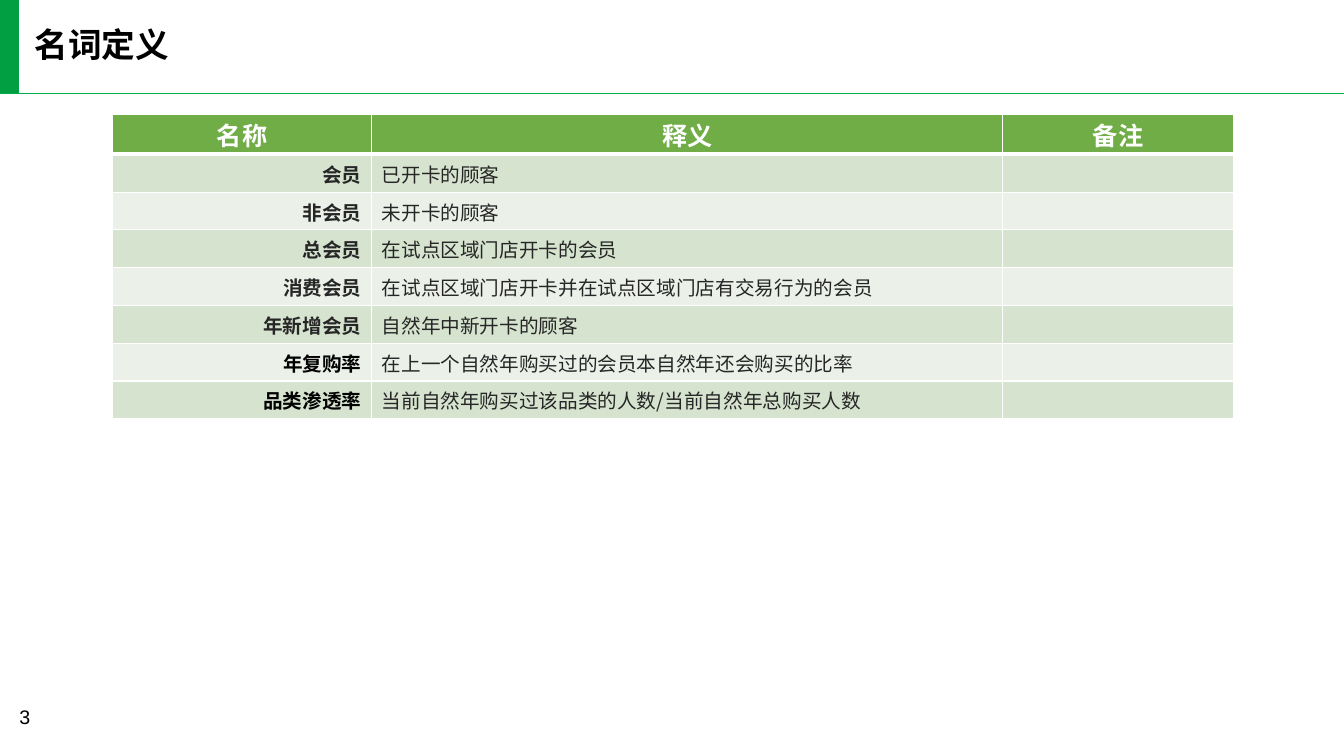
"""Build the glossary slide: a title band and a table of member terms."""
from dataclasses import dataclass

from lxml import etree
from pptx import Presentation
from pptx.dml.color import RGBColor
from pptx.enum.shapes import MSO_CONNECTOR, MSO_SHAPE
from pptx.enum.text import MSO_ANCHOR, PP_ALIGN
from pptx.oxml.ns import qn
from pptx.util import Pt

PX = 9525
LEFT, CENTER, RIGHT = PP_ALIGN.LEFT, PP_ALIGN.CENTER, PP_ALIGN.RIGHT
MIDDLE = MSO_ANCHOR.MIDDLE
RECT, STRAIGHT = MSO_SHAPE.RECTANGLE, MSO_CONNECTOR.STRAIGHT


@dataclass(frozen=True)
class Theme:
    accent: str = "029E42"
    rule: str = "00B050"
    header: str = "70AD47"
    bands: tuple = ("D5E3CF", "EBF1E9")
    white: str = "FFFFFF"
    black: str = "000000"
    body: str = "262626"
    cjk: str = "Noto Sans CJK SC"
    latin: str = "Arial"
    title_size: int = 24
    header_size: int = 18
    body_size: int = 14


theme = Theme()

HEADINGS = ("名称", "释义", "备注")
TERMS = (
    ("会员", "已开卡的顾客", theme.body),
    ("非会员", "未开卡的顾客", theme.body),
    ("总会员", "在试点区域门店开卡的会员", theme.body),
    ("消费会员", "在试点区域门店开卡并在试点区域门店有交易行为的会员", theme.body),
    ("年新增会员", "自然年中新开卡的顾客", theme.body),
    ("年复购率", "在上一个自然年购买过的会员本自然年还会购买的比率", theme.black),
    ("品类渗透率", "当前自然年购买过该品类的人数/当前自然年总购买人数", theme.black),
)
COLUMNS = (247, 601, 220)
HEADER_HEIGHT, ROW_HEIGHT = 38, 36


def write(tf, text, size=theme.body_size, color=theme.black, font=theme.cjk,
          bold=False, align=LEFT, spacing=None):
    tf.word_wrap = True
    p = tf.paragraphs[0]
    p.alignment = align
    p.line_spacing = spacing
    r = p.add_run()
    r.text = text
    r.font.size = Pt(size)
    r.font.bold = bold
    r.font.name = font
    r.font.color.rgb = RGBColor.from_string(color)
    etree.SubElement(r.font._element, qn("a:ea"), typeface=font)


def style_cell(cell, fill, bottom=1):
    cell.vertical_anchor = MIDDLE
    tcPr = cell._tc.get_or_add_tcPr()
    for side, width in (("L", 1), ("R", 1), ("T", 1), ("B", bottom)):
        ln = etree.SubElement(tcPr, qn(f"a:ln{side}"), w=str(Pt(width)))
        solid = etree.SubElement(ln, qn("a:solidFill"))
        etree.SubElement(solid, qn("a:srgbClr"), val=theme.white)
    cell.fill.solid()
    cell.fill.fore_color.rgb = RGBColor.from_string(fill)


prs = Presentation()
prs.slide_width, prs.slide_height = 1280 * PX, 720 * PX
s = prs.slides.add_slide(prs.slide_layouts[6])

rule = s.shapes.add_connector(STRAIGHT, 0, 89 * PX, 1280 * PX, 89 * PX)
rule.line.color.rgb = RGBColor.from_string(theme.rule)
rule.line.width = Pt(1)
etree.SubElement(rule._element.spPr, qn("a:effectLst"))

title = s.shapes.add_textbox(33 * PX, 27 * PX, 604 * PX, 35 * PX)
tf = title.text_frame
tf.margin_left = tf.margin_right = tf.margin_top = tf.margin_bottom = 0
write(tf, "名词定义", size=theme.title_size, bold=True, spacing=0.9)

band = s.shapes.add_shape(RECT, 0, -1 * PX, 18 * PX, 90 * PX)
band.shadow.inherit = False
band.fill.solid()
band.fill.fore_color.rgb = RGBColor.from_string(theme.accent)
band.line.fill.background()

number = s.shapes.add_textbox(9 * PX, 667 * PX, 87 * PX, 38 * PX)
write(number.text_frame, "3", font=theme.latin)

table_height = HEADER_HEIGHT + ROW_HEIGHT * len(TERMS)
table = s.shapes.add_table(len(TERMS) + 1, len(COLUMNS), 107 * PX, 109 * PX,
                           sum(COLUMNS) * PX, table_height * PX).table
for column, width in zip(table.columns, COLUMNS):
    column.width = width * PX
for row in table.rows:
    row.height = ROW_HEIGHT * PX
table.rows[0].height = HEADER_HEIGHT * PX

for col, heading in enumerate(HEADINGS):
    cell = table.cell(0, col)
    cell.margin_left = cell.margin_right = cell.margin_top = cell.margin_bottom = 0
    style_cell(cell, theme.header, bottom=3)
    write(cell.text_frame, heading, size=theme.header_size, color=theme.white,
          bold=True, align=CENTER)

for row, (term, meaning, color) in enumerate(TERMS, start=1):
    name, definition, remark = (table.cell(row, col) for col in range(len(COLUMNS)))
    remark.margin_top = remark.margin_bottom = 0
    for cell in (name, definition, remark):
        style_cell(cell, theme.bands[(row - 1) % 2])
    write(name.text_frame, term, color=color, bold=True, align=RIGHT)
    write(definition.text_frame, meaning, color=theme.body)

prs.save("out.pptx")
